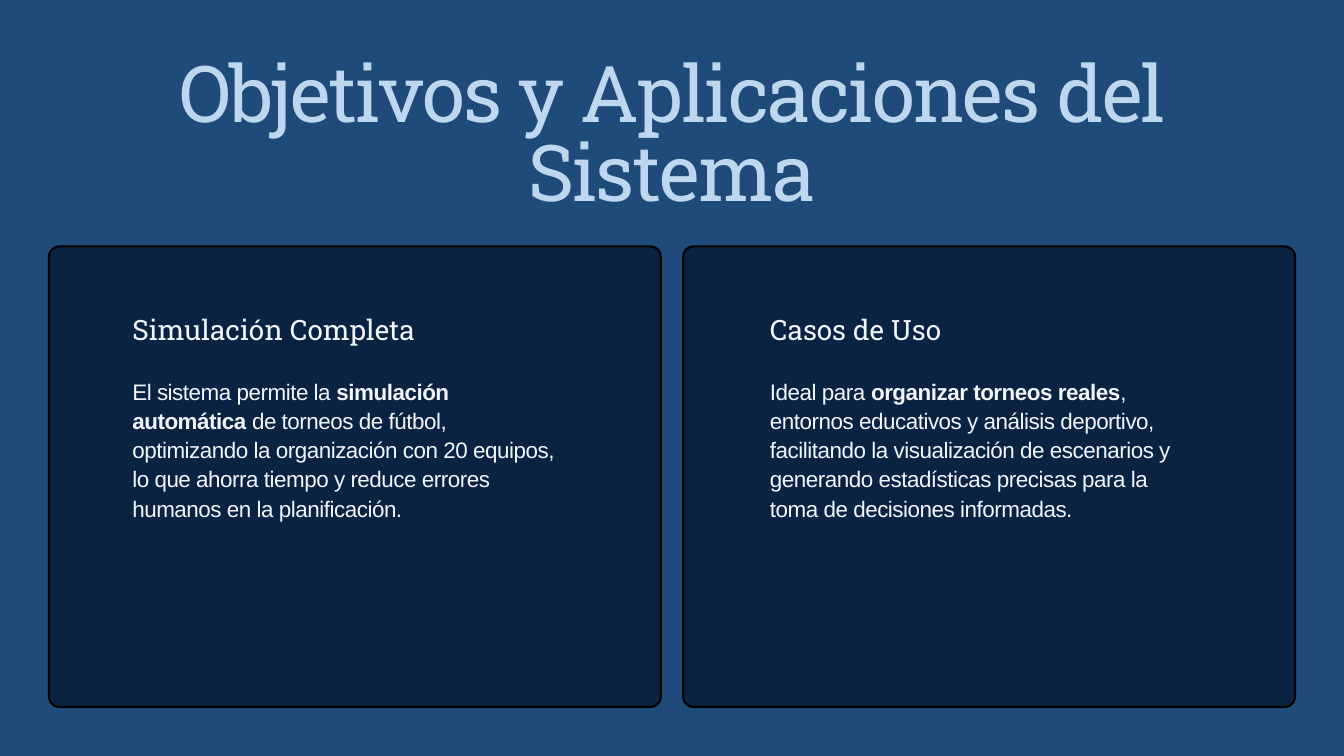
from pptx import Presentation
from pptx.dml.color import RGBColor
from pptx.enum.shapes import MSO_SHAPE
from pptx.enum.text import MSO_ANCHOR, MSO_AUTO_SIZE, PP_ALIGN
from pptx.util import Emu, Pt

ROUNDED = MSO_SHAPE.ROUNDED_RECTANGLE
TOP = MSO_ANCHOR.TOP
NO_FIT = MSO_AUTO_SIZE.NONE
LEFT, CENTER = PP_ALIGN.LEFT, PP_ALIGN.CENTER

EMU_PER_PX = 9525
SLIDE_W, SLIDE_H = 1920, 1080
COLORS = {
    "background": "1F4B7A",
    "card": "0B2342",
    "border": "000000",
    "title": "BDD7EE",
    "text": "F2F6FC",
}
HEADING_FONT, BODY_FONT = "Roboto Slab", "Arial"


def px(value):
    return Emu(value * EMU_PER_PX)


def color(name):
    return RGBColor.from_string(COLORS[name])


class SlideBuilder:
    def __init__(self, slide):
        self.slide = slide
        self.slide.background.fill.solid()
        self.slide.background.fill.fore_color.rgb = color("background")

    def add_text(self, shape, runs, size, leading, font, ink, spacing=0, align=LEFT):
        """Fill a shape with one paragraph of (text, bold) runs."""
        frame = shape.text_frame
        frame.word_wrap = True
        frame.auto_size = NO_FIT
        frame.vertical_anchor = TOP
        frame.margin_left = frame.margin_right = 0
        frame.margin_top = frame.margin_bottom = 0
        paragraph = frame.paragraphs[0]
        paragraph.alignment = align
        paragraph.line_spacing = Pt(leading)
        paragraph.space_before = Pt(0)
        for text, bold in runs:
            run = paragraph.add_run()
            run.text = text
            run.font.size = Pt(size)
            run.font.name = font
            run.font.bold = bold
            run.font.color.rgb = color(ink)
            run._r.get_or_add_rPr().set("spc", str(round(spacing * 100)))

    def title(self, text, left, top, width, height):
        title = self.slide.shapes.title
        title.left, title.top = px(left), px(top)
        title.width, title.height = px(width), px(height)
        self.add_text(title, [(text, False)], 83.9, 83.9, HEADING_FONT, "title",
                      spacing=-1.7, align=CENTER)

    def card(self, left, top, width, height, radius):
        card = self.slide.shapes.add_shape(
            ROUNDED, px(left), px(top), px(width), px(height))
        card.adjustments[0] = radius / min(width, height)
        card.shadow.inherit = False
        card.fill.solid()
        card.fill.fore_color.rgb = color("card")
        card.line.color.rgb = color("border")
        card.line.width = Pt(2.25)

    def heading(self, text, left, top, width, height):
        box = self.slide.shapes.add_textbox(px(left), px(top), px(width), px(height))
        self.add_text(box, [(text, False)], 30, 39, HEADING_FONT, "text")

    def body(self, runs, left, top, width, height):
        box = self.slide.shapes.add_textbox(px(left), px(top), px(width), px(height))
        self.add_text(box, runs, 24, 31.2, BODY_FONT, "text", spacing=-0.5)


def main():
    deck = Presentation()
    deck.slide_width, deck.slide_height = px(SLIDE_W), px(SLIDE_H)
    builder = SlideBuilder(deck.slides.add_slide(deck.slide_layouts[5]))

    # Title
    builder.title("Objetivos y Aplicaciones del Sistema", 221, 86, 1478, 228)

    # Two equal cards: heading, body runs, text left, text width
    topics = [
        ("Simulación Completa", [
            ("El sistema permite la ", False),
            ("simulación automática", True),
            (" de torneos de fútbol, optimizando la organización con 20 equipos, "
             "lo que ahorra tiempo y reduce errores humanos en la planificación.", False),
        ], 189, 604),
        ("Casos de Uso", [
            ("Ideal para ", False),
            ("organizar torneos reales", True),
            (", entornos educativos y análisis deportivo, facilitando la visualización "
             "de escenarios y generando estadísticas precisas para la toma de "
             "decisiones informadas.", False),
        ], 1100, 597),
    ]
    margin, gap = 70, 32
    card_width = (SLIDE_W - 2 * margin - gap) // 2
    for column, (heading, runs, text_left, text_width) in enumerate(topics):
        card_left = margin + column * (card_width + gap)
        builder.card(card_left, 352, card_width, 658, radius=15)
        builder.heading(heading, text_left, 443, text_width, 51)
        builder.body(runs, text_left, 537, text_width, 204)

    deck.save("out.pptx")


if __name__ == "__main__":
    main()
